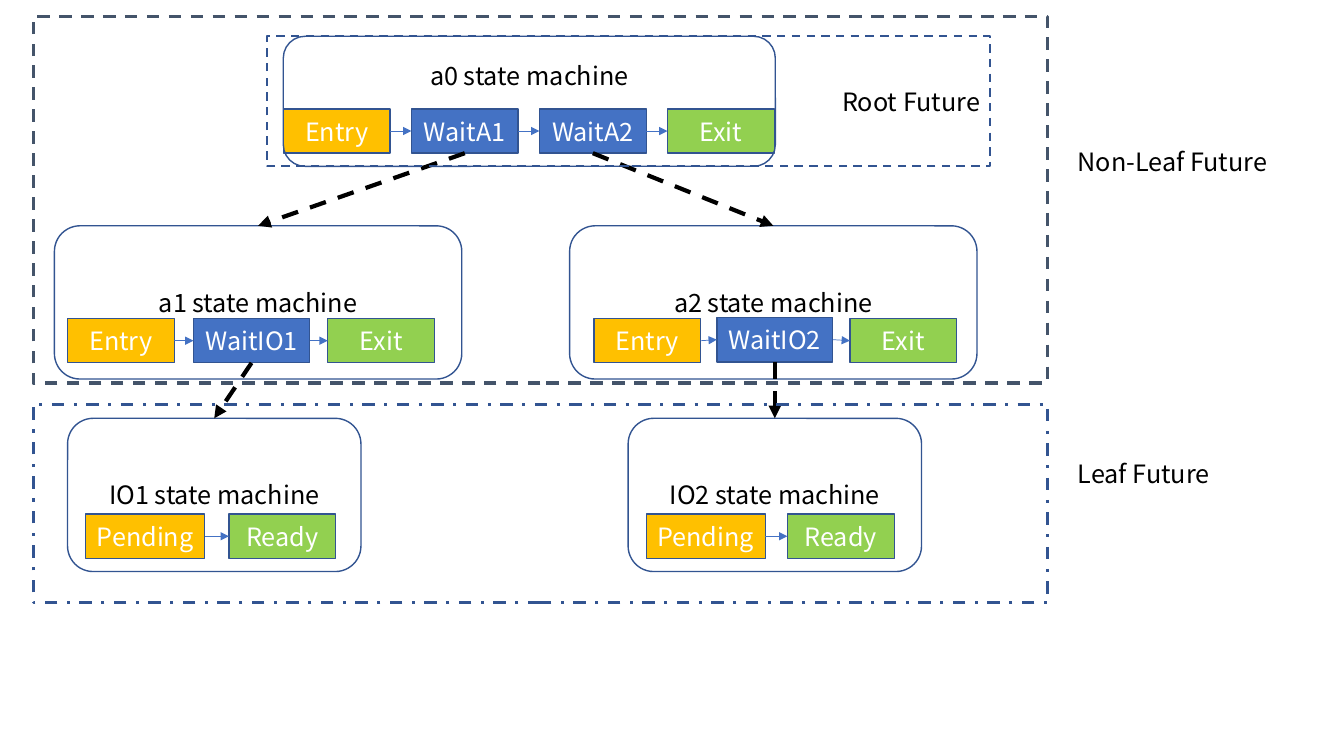
import pptx
import pptx.dml.color
import pptx.enum.dml
import pptx.enum.shapes
import pptx.enum.text
import pptx.util
from pptx.oxml import parse_xml
from pptx.oxml.ns import nsdecls

Inches, Pt = pptx.util.Inches, pptx.util.Pt
RGBColor = pptx.dml.color.RGBColor
SHAPE = pptx.enum.shapes.MSO_SHAPE
DASH = pptx.enum.dml.MSO_LINE
ALIGN = pptx.enum.text.PP_ALIGN
ANCHOR = pptx.enum.text.MSO_ANCHOR

FONT = "Noto Sans CJK SC"
AMBER = RGBColor(0xFF, 0xC0, 0x00)
BLUE = RGBColor(0x44, 0x72, 0xC4)
GREEN = RGBColor(0x92, 0xD0, 0x50)
OUTLINE = RGBColor(0x32, 0x54, 0x91)
SLATE = RGBColor(0x44, 0x54, 0x6A)
BLACK = RGBColor(0x00, 0x00, 0x00)
WHITE = RGBColor(0xFF, 0xFF, 0xFF)

TOP, BOTTOM, LEFT, RIGHT = 0, 2, 1, 3
STATE_W, STATE_H = 1.06, 0.44


def write(sp, text, color=BLACK, align=ALIGN.CENTER, anchor=ANCHOR.MIDDLE, inset=0.05):
    tf = sp.text_frame
    tf.word_wrap = True
    tf.vertical_anchor = anchor
    tf.margin_top = Inches(inset)
    p = tf.paragraphs[0]
    p.alignment = align
    r = p.add_run()
    r.text = text
    r.font.name = FONT
    r.font.size = Pt(18)
    r.font.color.rgb = color


def add_box(s, kind, at, fill=None, line=OUTLINE, width=1, dash=None):
    sp = s.shapes.add_shape(kind, *map(Inches, at))
    sp.shadow.inherit = False
    if fill is None:
        sp.fill.background()
    else:
        sp.fill.solid()
        sp.fill.fore_color.rgb = fill
    sp.line.color.rgb = line
    sp.line.width = Pt(width)
    if dash is not None:
        sp.line.dash_style = dash
    return sp


def add_label(s, text, at):
    sp = s.shapes.add_textbox(*map(Inches, at))
    write(sp, text, align=ALIGN.LEFT, anchor=ANCHOR.TOP)


def add_arrow(s, source, source_side, target, target_side, color=BLUE, width=0.5, dash=None):
    cn = s.shapes.add_connector(pptx.enum.shapes.MSO_CONNECTOR.STRAIGHT, 0, 0, 0, 0)
    cn.begin_connect(source, source_side)
    cn.end_connect(target, target_side)
    cn.line.color.rgb = color
    cn.line.width = Pt(width)
    if dash is not None:
        cn.line.dash_style = dash
    cn.line._get_or_add_ln().append(
        parse_xml(f'<a:tailEnd {nsdecls("a")} type="triangle"/>'))
    cn._element.spPr.append(parse_xml(f'<a:effectLst {nsdecls("a")}/>'))


def add_machine(s, title, at, states, **title_format):
    """Draw a state chain and its rounded frame; return the frame and the states.

    Each state is (name, fill, left, top, width).
    """
    boxes = []
    for name, fill, left, top, width in states:
        sp = add_box(s, SHAPE.RECTANGLE, (left, top, width, STATE_H), fill)
        write(sp, name, WHITE)
        boxes.append(sp)
    for source, target in zip(boxes, boxes[1:]):
        add_arrow(s, source, RIGHT, target, LEFT)
    frame = add_box(s, SHAPE.ROUNDED_RECTANGLE, at)
    write(frame, title, **title_format)
    return frame, boxes


def add_io_machine(s, title, left, pending_left, ready_left):
    frame, _ = add_machine(s, title, (left, 4.15, 2.91, 1.52), [
        ("Pending", AMBER, pending_left, 5.1, 1.18),
        ("Ready", GREEN, ready_left, 5.1, STATE_W)])
    return frame


def add_await_machine(s, title, left, wait, wait_top, state_lefts):
    entry_left, wait_left, exit_left = state_lefts
    frame, boxes = add_machine(s, title, (left, 2.24, 4.04, 1.52), [
        ("Entry", AMBER, entry_left, 3.16, STATE_W),
        (wait, BLUE, wait_left, wait_top, 1.15),
        ("Exit", GREEN, exit_left, 3.16, STATE_W)])
    return frame, boxes[1]


def main():
    prs = pptx.Presentation()
    prs.slide_width, prs.slide_height = Inches(13.33), Inches(7.5)
    s = prs.slides.add_slide(prs.slide_layouts[6])

    root_states = [("Entry", AMBER), ("WaitA1", BLUE), ("WaitA2", BLUE), ("Exit", GREEN)]
    _, (_, wait_a1, wait_a2, _) = add_machine(
        s, "a0 state machine", (2.81, 0.36, 4.88, 1.29),
        [(name, fill, 2.81 + 1.27 * i, 1.08, STATE_W)
         for i, (name, fill) in enumerate(root_states)],
        anchor=ANCHOR.TOP, inset=0.18)
    a1, wait_io1 = add_await_machine(
        s, "a1 state machine", 0.54, "WaitIO1", 3.16, (0.67, 1.92, 3.25))
    a2, wait_io2 = add_await_machine(
        s, "a2 state machine", 5.65, "WaitIO2", 3.15, (5.89, 7.11, 8.43))
    io1 = add_io_machine(s, "IO1 state machine", 0.67, 0.85, 2.27)
    io2 = add_io_machine(s, "IO2 state machine", 6.23, 6.41, 7.81)

    for waiting, awaited in ((wait_a1, a1), (wait_a2, a2), (wait_io1, io1), (wait_io2, io2)):
        add_arrow(s, waiting, BOTTOM, awaited, TOP, BLACK, 3, DASH.DASH)

    add_box(s, SHAPE.RECTANGLE, (0.33, 4.01, 10.06, 1.97), width=2.25, dash=DASH.DASH_DOT)
    add_label(s, "Leaf Future", (10.59, 4.5, 1.89, 0.4))
    add_box(s, SHAPE.RECTANGLE, (0.33, 0.16, 10.06, 3.64), line=SLATE, width=2.25, dash=DASH.DASH)
    add_label(s, "Non-Leaf Future", (10.59, 1.4, 2.08, 0.4))
    root = add_box(s, SHAPE.RECTANGLE, (2.65, 0.36, 7.17, 1.29), width=1.5, dash=DASH.DASH)
    write(root, "Root Future", align=ALIGN.RIGHT)

    prs.save("out.pptx")


if __name__ == "__main__":
    main()
